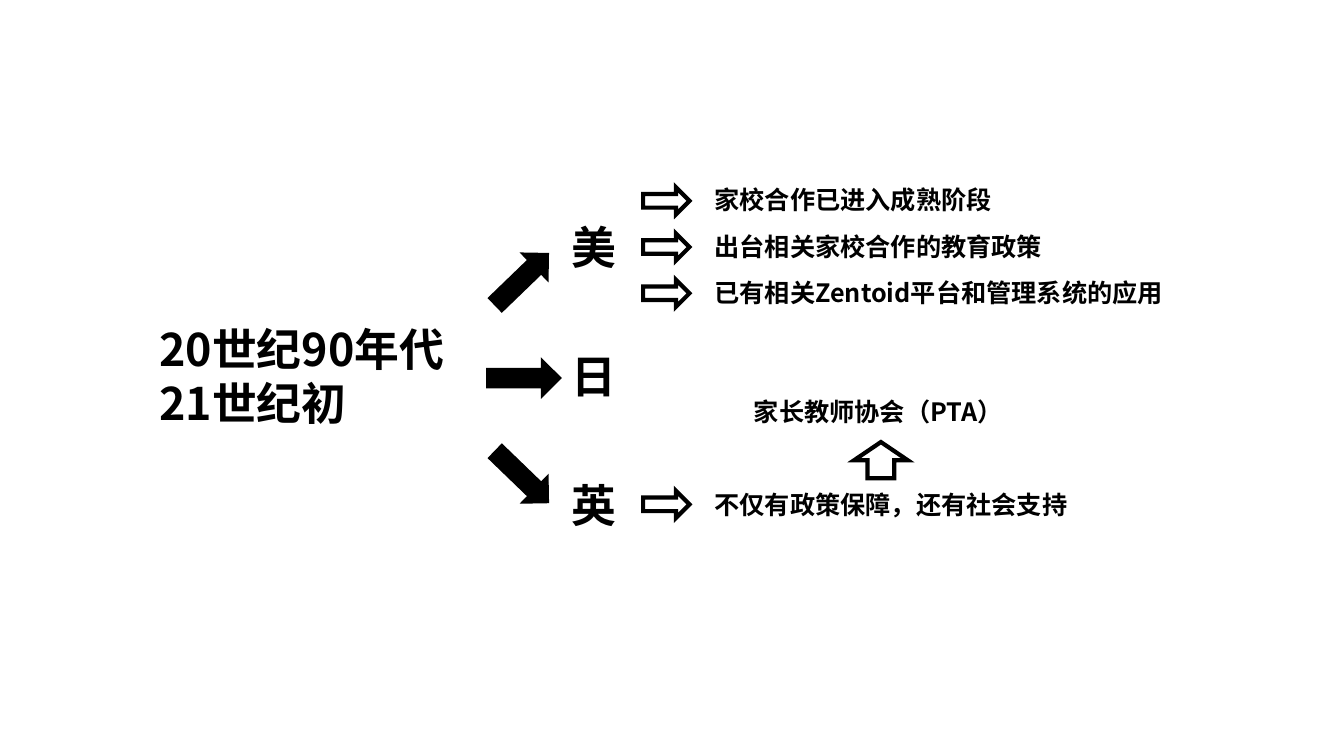
from lxml import etree
from pptx import Presentation
from pptx.dml.color import RGBColor
from pptx.enum.shapes import MSO_SHAPE
from pptx.enum.text import MSO_AUTO_SIZE
from pptx.oxml.ns import qn
from pptx.util import Pt

FONT = "Noto Sans CJK SC"
BLACK = "000000"


def color(hex_value):
    return RGBColor.from_string(hex_value)


def add_text(s, text, left, top, width, height, size):
    """Bold text box that grows with its text."""
    tf = s.shapes.add_textbox(Pt(left), Pt(top), Pt(width), Pt(height)).text_frame
    tf.text = text
    tf.word_wrap = True
    tf.auto_size = MSO_AUTO_SIZE.SHAPE_TO_FIT_TEXT
    for p in tf.paragraphs:
        for r in p.runs:
            r.font.name = FONT
            r.font.size = Pt(size)
            r.font.bold = True
            r.font.color.rgb = color(BLACK)
            # East Asian typeface
            ea = etree.SubElement(r.font._element, qn("a:ea"))
            ea.set("typeface", FONT)


def add_arrow(s, left, top, width, height, line, fill=None, rotation=0):
    sp = s.shapes.add_shape(MSO_SHAPE.RIGHT_ARROW, Pt(left), Pt(top), Pt(width), Pt(height))
    sp.shadow.inherit = False
    sp.rotation = rotation
    if fill:
        sp.fill.solid()
        sp.fill.fore_color.rgb = color(fill)
    else:
        sp.fill.background()
    sp.line.color.rgb = color(BLACK)
    sp.line.width = Pt(line)
    # Sharp corners
    miter = etree.SubElement(sp._element.spPr.find(qn("a:ln")), qn("a:miter"))
    miter.set("lim", "800000")


def add_point(s, text, top, width, arrow_top):
    """Outlined arrow followed by a statement."""
    add_arrow(s, 459.4, arrow_top, 33.1, 19.4, 3)
    add_text(s, text, 503.3, top, width, 28.8, 18)


def main():
    prs = Presentation()
    prs.slide_width, prs.slide_height = Pt(960), Pt(540)
    s = prs.slides.add_slide(prs.slide_layouts[6])

    # Period
    add_text(s, "20世纪90年代\n21世纪初", 106.6, 226.1, 223.9, 85, 32)

    # Countries, each with a solid arrow
    countries = [("美", 346.3, 316), ("日", 347.8, 0), ("英", 346.3, 44)]
    for i, (country, left, rotation) in enumerate(countries):
        add_arrow(s, left, 185.8 + i * 70.56, 52.8, 27.4, 1, BLACK, rotation)
        add_text(s, country, 401, 153.4 + i * 92.16, 46.8, 46.1, 32)

    # Statements on the first country
    statements = [("家校合作已进入成熟阶段", 214.6),
                  ("出台相关家校合作的教育政策", 250.6),
                  ("已有相关Zentoid平台和管理系统的应用", 339.8)]
    for i, (text, width) in enumerate(statements):
        top = 128.4 + i * 33
        add_point(s, text, top, width, top + 5.4)

    # Statement on the last country, leading up to the association
    add_point(s, "不仅有政策保障，还有社会支持", 346.3, 269.3, 350.6)
    add_arrow(s, 616.3, 309.6, 25.9, 38.2, 3, rotation=270)
    add_text(s, "家长教师协会（PTA）", 531.4, 279.4, 195.1, 28.8, 18)

    prs.save("out.pptx")


if __name__ == "__main__":
    main()
